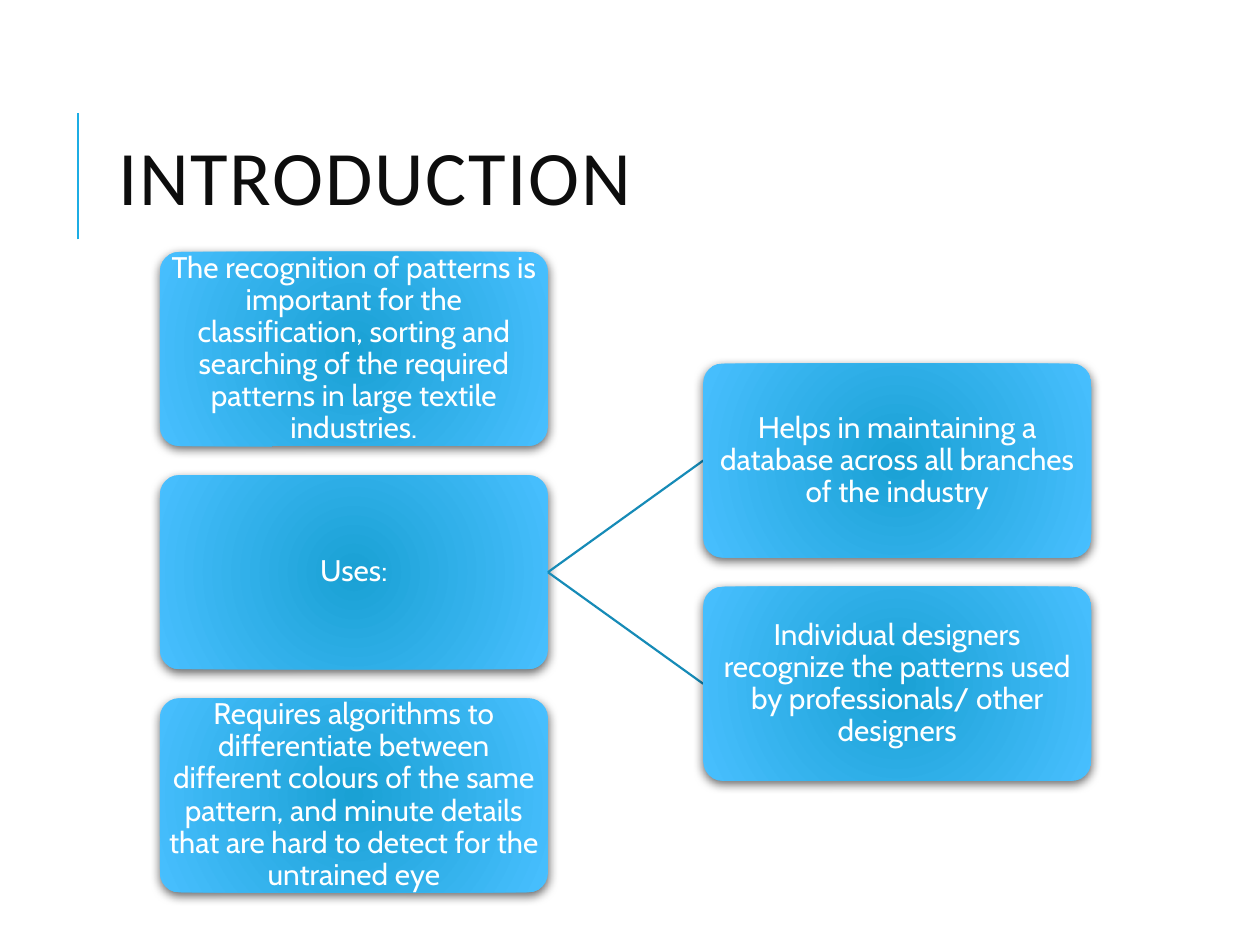
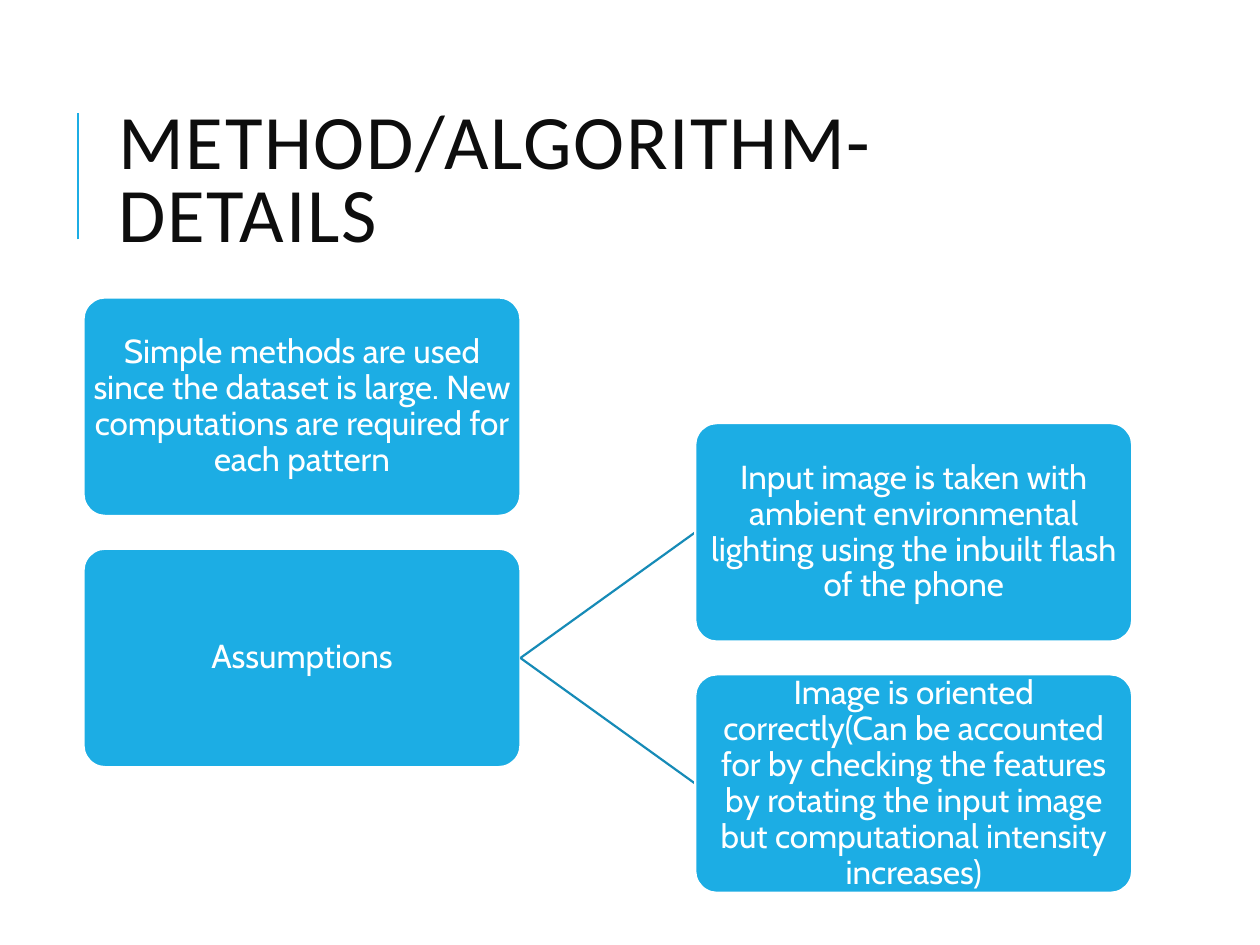
from lxml.etree import SubElement
from pptx import Presentation
from pptx.dml.color import RGBColor
from pptx.enum.shapes import MSO_CONNECTOR, MSO_SHAPE
from pptx.enum.text import MSO_ANCHOR, PP_ALIGN
from pptx.oxml import parse_xml
from pptx.oxml.ns import nsdecls, qn
from pptx.util import Pt

BLUE = RGBColor(0x1C, 0xAD, 0xE4)
LINK_BLUE = RGBColor(0x16, 0x8B, 0xB7)
GLOW_CENTRE = RGBColor(0x1A, 0xA1, 0xD4)
GLOW_EDGE = RGBColor(0x48, 0xBF, 0xFF)
INK = RGBColor(0x0D, 0x0D, 0x0D)
WHITE = RGBColor(0xFF, 0xFF, 0xFF)
BLACK = RGBColor(0, 0, 0)

# Each tree row is a left-hand box and the boxes that branch from it.
SLIDES = [
    {
        "title": "INTRODUCTION",
        "left": 91.3, "top": 144, "width": 221.8, "size": 17, "glossy": True,
        "tree": [
            ("The recognition of patterns is important for the classification, sorting "
             "and searching of the required patterns in large textile industries.", []),
            ("Uses:", [
                "Helps in maintaining a database across all branches of the industry",
                "Individual designers recognize the patterns used by professionals/ "
                "other designers",
            ]),
            ("Requires algorithms to differentiate between different colours of the same "
             "pattern, and minute details that are hard to detect for the untrained eye", []),
        ],
    },
    {
        "title": "METHOD/ALGORITHM-DETAILS",
        "left": 47.7, "top": 170, "width": 249.7, "size": 19, "glossy": False,
        "tree": [
            ("Simple methods are used since the dataset is large. New computations are "
             "required for each pattern", []),
            ("Assumptions", [
                "Input image is taken with ambient environmental lighting using the "
                "inbuilt flash of the phone",
                "Image is oriented correctly(Can be accounted for by checking the features "
                "by rotating the input image but computational intensity increases)",
            ]),
        ],
    },
]

# Box proportions, as shares of box width or height
HEIGHT_SHARE, ROW_STEP, COLUMN_STEP = 0.5, 1.15, 1.4
RIGHT_SIDE, LEFT_SIDE = 3, 1

TITLE_FRAME = {"word_wrap": True, "vertical_anchor": MSO_ANCHOR.MIDDLE}
BOX_FRAME = TITLE_FRAME | {
    side: Pt(0.72) for side in ("margin_left", "margin_top", "margin_right", "margin_bottom")}


def set_values(target, values):
    for name, value in values.items():
        setattr(target, name, value)


def write(frame, text, frame_values, para_values, font_values, colour):
    set_values(frame, frame_values)
    para = frame.paragraphs[0]
    set_values(para, para_values)
    span = para.add_run()
    span.text = text
    set_values(span.font, font_values)
    span.font.color.rgb = colour
    return span


def add_line(page, colour, width, *ends):
    line = page.shapes.add_connector(MSO_CONNECTOR.STRAIGHT, *map(Pt, ends))
    line.line.color.rgb = colour
    line.line.width = Pt(width)
    SubElement(line._element.spPr, qn("a:effectLst"))
    return line


def add_title(page, text):
    add_line(page, BLUE, 1.5, 44.6, 136.8, 44.6, 64.8)
    box = page.shapes.add_textbox(Pt(60.5), Pt(46), Pt(574), Pt(118))
    span = write(box.text_frame, text, TITLE_FRAME, {"line_spacing": 0.8},
                 {"name": "Calibri", "size": Pt(44)}, INK)
    span._r.get_or_add_rPr().set("spc", "100")


def make_glossy(box):
    """Give a box a radial gradient and a soft shadow below it."""
    box.line.fill.background()
    properties = box._element.spPr
    properties.find(qn("a:prstGeom")).addnext(parse_xml(
        f'<a:gradFill {nsdecls("a")} rotWithShape="1"><a:gsLst>'
        f'<a:gs pos="0"><a:srgbClr val="{GLOW_CENTRE}"/></a:gs>'
        f'<a:gs pos="100000"><a:srgbClr val="{GLOW_EDGE}"/></a:gs></a:gsLst>'
        '<a:path path="circle"><a:fillToRect l="100000" t="100000" r="100000" b="100000"/>'
        '</a:path></a:gradFill>'))
    properties.find(qn("a:effectLst")).append(parse_xml(
        f'<a:outerShdw {nsdecls("a")} blurRad="{Pt(6)}" dist="{Pt(2)}" dir="5400000" '
        f'algn="ctr" rotWithShape="0"><a:srgbClr val="{BLACK}">'
        '<a:alpha val="60000"/></a:srgbClr></a:outerShdw>'))


def make_flat(box):
    box.fill.solid()
    box.fill.fore_color.rgb = BLUE
    box.line.color.rgb = WHITE
    box.line.width = Pt(1.25)


def add_box(page, content, text, column, row):
    """Place a box on the tree grid; a row may be fractional."""
    width = content["width"]
    height = width * HEIGHT_SHARE
    box = page.shapes.add_shape(
        MSO_SHAPE.ROUNDED_RECTANGLE,
        Pt(content["left"] + column * COLUMN_STEP * width),
        Pt(content["top"] + row * ROW_STEP * height), Pt(width), Pt(height))
    box.adjustments[0] = 0.1
    box.shadow.inherit = False
    style = make_glossy if content["glossy"] else make_flat
    style(box)
    write(box.text_frame, text, BOX_FRAME,
          {"alignment": PP_ALIGN.CENTER, "line_spacing": 0.9},
          {"name": "Cabin", "size": Pt(content["size"])}, WHITE)
    return box


def add_tree(page, content):
    for row, (text, branches) in enumerate(content["tree"]):
        parent = add_box(page, content, text, 0, row)
        first_row = row - (len(branches) - 1) / 2
        for index, branch in enumerate(branches):
            link = add_line(page, LINK_BLUE, 1.25, 0, 0, 0, 0)
            child = add_box(page, content, branch, 1, first_row + index)
            link.begin_connect(parent, RIGHT_SIDE)
            link.end_connect(child, LEFT_SIDE)


def main():
    deck = Presentation()
    deck.slide_width, deck.slide_height = Pt(720), Pt(540)
    for content in SLIDES:
        page = deck.slides.add_slide(deck.slide_layouts[6])
        add_title(page, content["title"])
        add_tree(page, content)
    deck.save("out.pptx")


if __name__ == "__main__":
    main()
